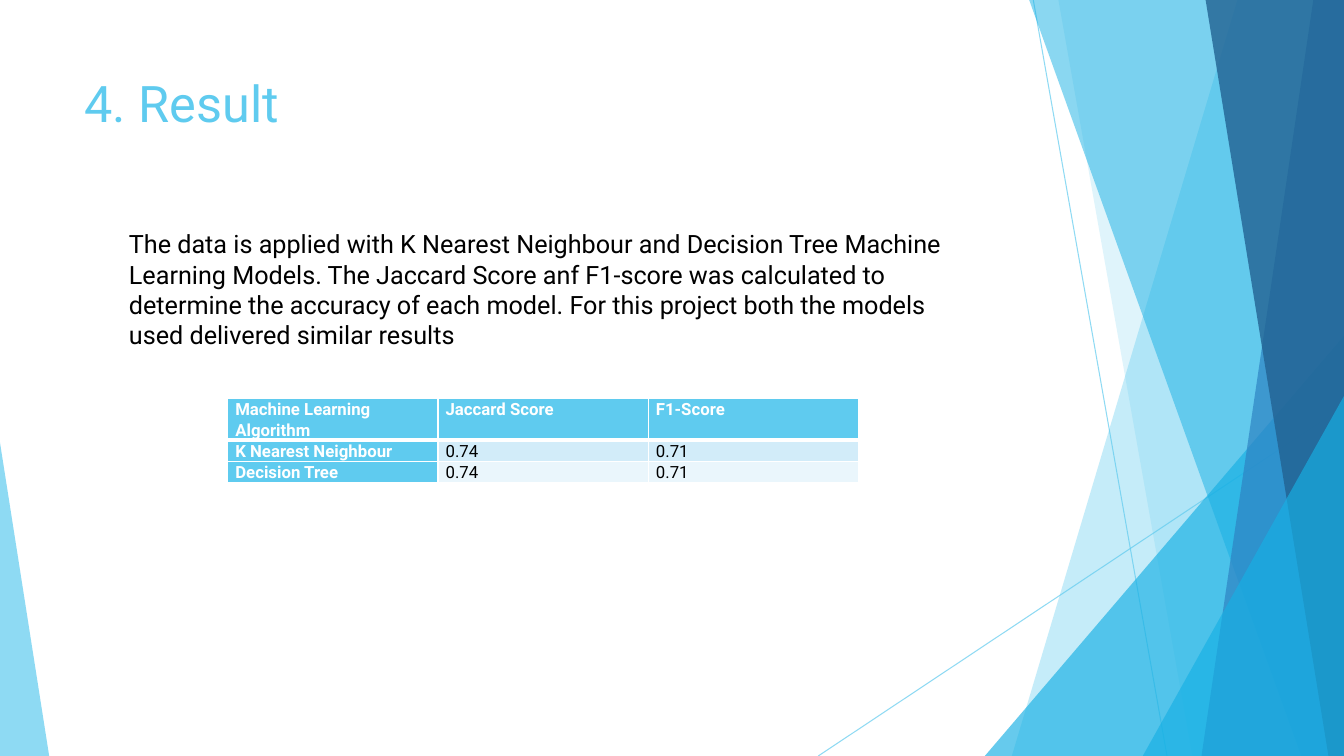
"""Build the result slide with its faceted side art and score table."""
from dataclasses import dataclass

from lxml.etree import SubElement
from pptx import Presentation
from pptx.dml.color import RGBColor as Rgb
from pptx.enum.shapes import MSO_CONNECTOR as Link, MSO_SHAPE as Form
from pptx.enum.text import MSO_ANCHOR as Anchor, MSO_AUTO_SIZE as Fit, PP_ALIGN as Align
from pptx.oxml import parse_xml
from pptx.oxml.ns import nsdecls, qn
from pptx.util import Cm, Pt

WIDE, HIGH, TOP = 33.87, 19.05, -0.02


@dataclass(frozen=True)
class Theme:
    font: str = "Roboto"
    sky: str = "5FCBEF"
    cyan: str = "17B0E4"
    blue: str = "2E83C3"
    navy: str = "226292"
    white: str = "FFFFFF"
    black: str = "000000"
    bands: tuple[str, str] = ("D2ECF9", "EAF6FC")
    head: int = 36
    body: int = 18
    cell: int = 12


@dataclass(frozen=True)
class Ray:
    x1: float
    y1: float
    x2: float
    y2: float


@dataclass(frozen=True)
class Shard:
    top: float
    base: float
    hue: str
    alpha: int


@dataclass(frozen=True)
class Wedge:
    left: float
    top: float
    width: float
    peak: int
    hue: str
    alpha: int


LOOK = Theme()
RAYS = [Ray(26.04, 0, 29.41, HIGH), Ray(WIDE, 10.24, 20.62, HIGH)]
ART = [
    Shard(31.19, 25.5, LOOK.sky, 36),
    Shard(26.67, 30.05, LOOK.sky, 20),
    Wedge(24.82, 8.46, 9.05, 1, LOOK.cyan, 66),
    Shard(25.93, 32.79, LOOK.cyan, 50),
    Shard(33.1, 30.28, LOOK.blue, 70),
    Shard(30.38, 33.48, LOOK.navy, 80),
    Wedge(28.8, 9.98, 5.07, 1, LOOK.cyan, 66),
    Wedge(0, 11.15, 1.24, 0, LOOK.sky, 70),
]
SCORES = [
    ("Machine Learning Algorithm", "Jaccard Score", "F1-Score"),
    ("K Nearest Neighbour", "0.74", "0.71"),
    ("Decision Tree", "0.74", "0.71"),
]
STORY = (
    "The data is applied with K Nearest Neighbour and Decision Tree Machine "
    "Learning Models. The Jaccard Score anf F1-score was calculated to "
    "determine the accuracy of each model. For this project both the models "
    "used delivered similar results"
)


def fade(shape, alpha: int) -> None:
    """Set the opacity of a shape's colour in percent."""
    for hue in shape.element.spPr.iter(qn("a:srgbClr")):
        SubElement(hue, qn("a:alpha"), val=str(alpha * 1000))


def paint(shape, hue: str, alpha: int) -> None:
    """Give a shape a see-through fill with no outline or shadow."""
    shape.shadow.inherit = False
    shape.fill.solid()
    shape.fill.fore_color.rgb = Rgb.from_string(hue)
    shape.line.fill.background()
    fade(shape, alpha)


def draw_ray(slide, ray: Ray) -> None:
    """Draw one thin line of the side art."""
    line = slide.shapes.add_connector(
        Link.STRAIGHT, Cm(ray.x1), Cm(ray.y1), Cm(ray.x2), Cm(ray.y2))
    line.line.color.rgb = Rgb.from_string(LOOK.sky)
    line.line.width = Pt(0.75)
    fade(line, 70)
    SubElement(line.element.spPr, qn("a:effectLst"))


def draw_shard(slide, shard: Shard) -> None:
    """Draw a full-height facet that ends at the right edge."""
    pen = slide.shapes.build_freeform(Cm(shard.top), Cm(TOP))
    ends = [(WIDE, TOP), (WIDE, HIGH), (shard.base, HIGH)]
    pen.add_line_segments([(Cm(x), Cm(y)) for x, y in ends], close=True)
    paint(pen.convert_to_shape(), shard.hue, shard.alpha)


def draw_wedge(slide, wedge: Wedge) -> None:
    """Draw a right triangle that stands on the bottom edge."""
    shape = slide.shapes.add_shape(
        Form.ISOSCELES_TRIANGLE, Cm(wedge.left), Cm(wedge.top),
        Cm(wedge.width), Cm(HIGH - wedge.top))
    shape.adjustments[0] = wedge.peak
    paint(shape, wedge.hue, wedge.alpha)


def write(frame, text: str, size: int, hue: str, bold: bool = False) -> None:
    """Fill a text frame with one left-aligned, formatted paragraph."""
    frame.text = text
    frame.word_wrap = True
    para = frame.paragraphs[0]
    para.alignment = Align.LEFT
    font = para.runs[0].font
    font.name, font.size, font.bold = LOOK.font, Pt(size), bold
    font.color.rgb = Rgb.from_string(hue)


def edge(cell, row: int) -> None:
    """Rule a cell in white, with a heavy line under the header."""
    heavy = {(0, "B"), (1, "T")}
    for spot, side in enumerate("LRTB"):
        width = Pt(3 if (row, side) in heavy else 1)
        cell._tc.get_or_add_tcPr().insert(spot, parse_xml(
            f'<a:ln{side} {nsdecls("a")} w="{width}"><a:solidFill>'
            f'<a:srgbClr val="{LOOK.white}"/></a:solidFill></a:ln{side}>'))


def add_scores(slide) -> None:
    """Add the table of model scores."""
    wide, tall = 5.3, 0.52
    table = slide.shapes.add_table(
        len(SCORES), len(SCORES[0]), Cm(5.74), Cm(10.03),
        Cm(wide * 3), Cm(tall * 4)).table
    for col in table.columns:
        col.width = Cm(wide)
    for r, row in enumerate(SCORES):
        table.rows[r].height = Cm(tall if r else tall * 2)
        for c, text in enumerate(row):
            cell = table.cell(r, c)
            label = r == 0 or c == 0
            cell.margin_left = cell.margin_right = Cm(0.19)
            cell.margin_top = cell.margin_bottom = 0
            cell.fill.solid()
            cell.fill.fore_color.rgb = Rgb.from_string(
                LOOK.sky if label else LOOK.bands[r - 1])
            write(cell.text_frame, text, LOOK.cell,
                  LOOK.white if label else LOOK.black, label)
            cell.text_frame.paragraphs[0].line_spacing = 1.07
            edge(cell, r)


def main() -> None:
    """Build and save the slide."""
    deck = Presentation()
    deck.slide_width, deck.slide_height = Cm(WIDE), Cm(HIGH)
    slide = deck.slides.add_slide(deck.slide_layouts[5])
    for ray in RAYS:
        draw_ray(slide, ray)
    for part in ART:
        if isinstance(part, Shard):
            draw_shard(slide, part)
        else:
            draw_wedge(slide, part)

    title = slide.shapes.title
    title.left, title.top = Cm(1.88), Cm(1.7)
    title.width, title.height = Cm(23.88), Cm(3.66)
    write(title.text_frame, "4. Result", LOOK.head, LOOK.sky)
    title.text_frame.vertical_anchor = Anchor.TOP
    title.text_frame.auto_size = Fit.NONE

    add_scores(slide)
    story = slide.shapes.add_textbox(Cm(3), Cm(5.64), Cm(21.41), Cm(3.33))
    write(story.text_frame, STORY, LOOK.body, LOOK.black)
    story.text_frame.auto_size = Fit.SHAPE_TO_FIT_TEXT
    deck.save("out.pptx")


if __name__ == "__main__":
    main()
